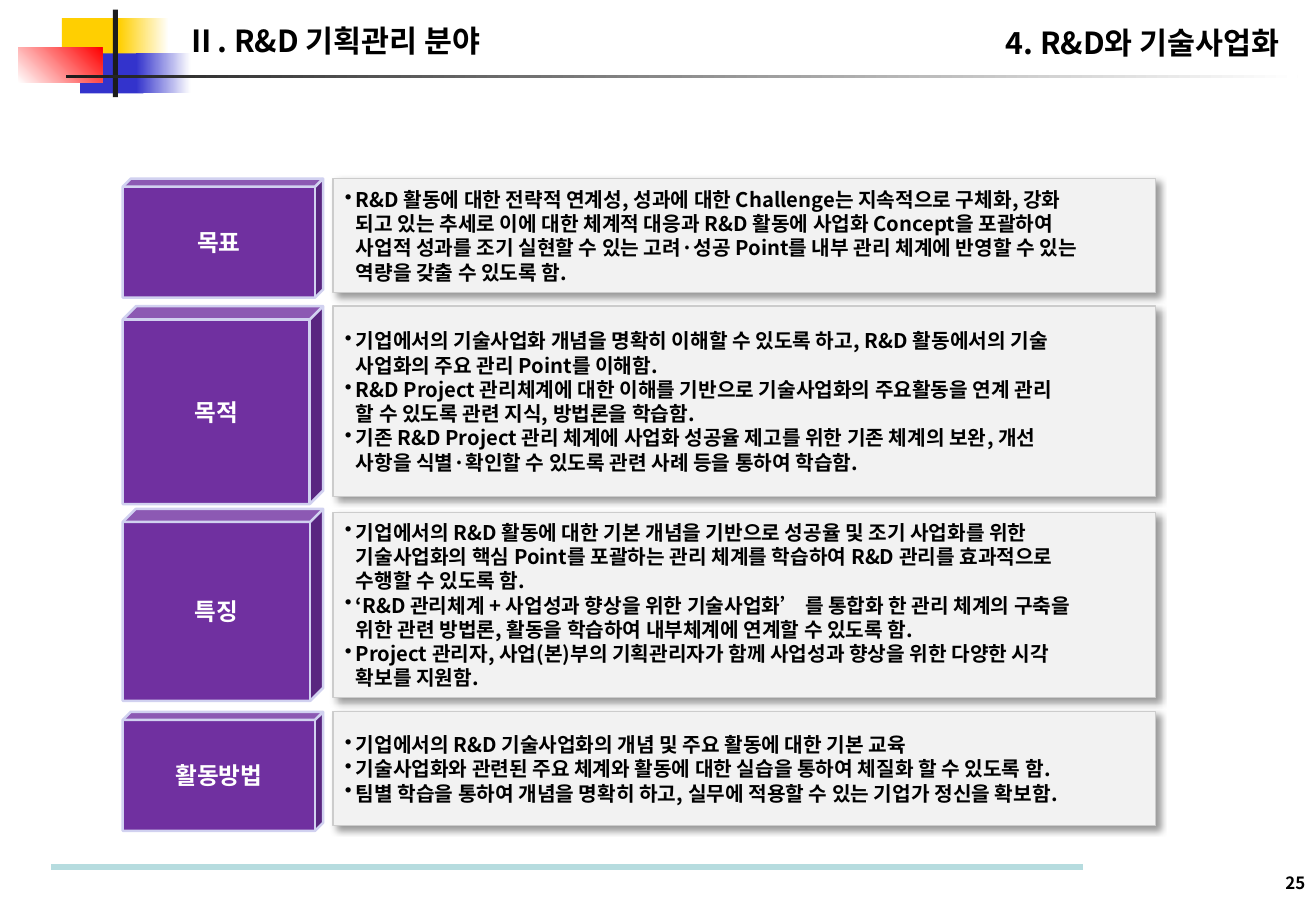
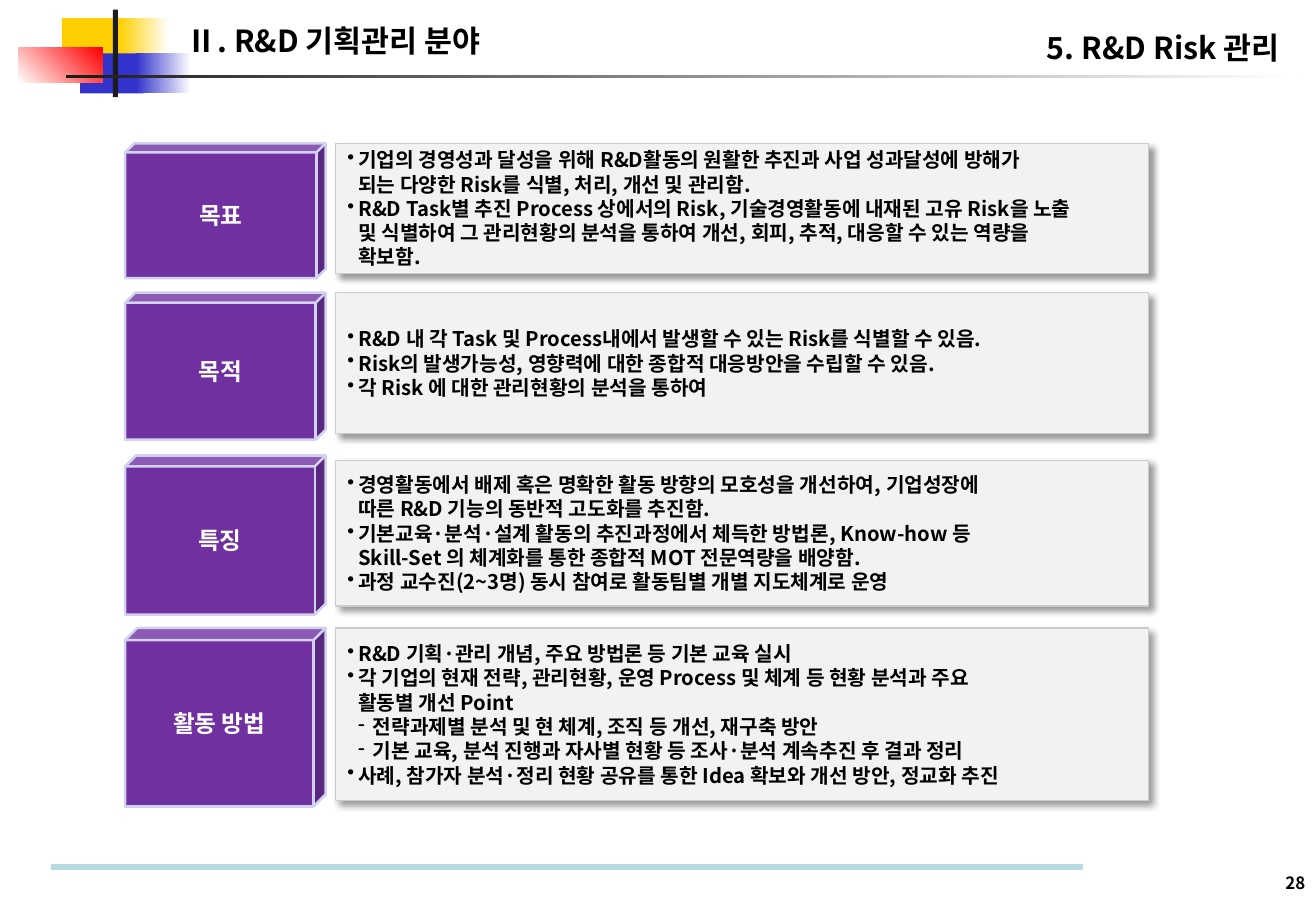
from copy import deepcopy

from lxml.etree import SubElement
from pptx import Presentation
from pptx.dml.color import RGBColor
from pptx.enum.shapes import MSO_CONNECTOR, MSO_SHAPE
from pptx.enum.text import MSO_ANCHOR, MSO_AUTO_SIZE, PP_ALIGN
from pptx.oxml.ns import qn
from pptx.util import Inches, Pt

COLOURS = {
    "black": "000000", "white": "FFFFFF", "ink": "1C1C1C", "yellow": "FFCF01",
    "blue": "3333CC", "red": "FF0000", "footer": "B6DCDF", "cube": "7030A0",
    "cube_edge": "D1D1F0", "panel": "F2F2F2", "panel_edge": "CCCCCC",
}
FONT = "Noto Sans CJK KR"
SECTION = "Ⅱ. R&D 기획관리 분야"
PANEL_OFFSET = 1.73
BLOCKS = [
    ((0.51, 0.15, 0.54, 0.33), ("yellow",), 0),
    ((0.98, 0.15, 0.41, 0.33), ("yellow", "white"), 0),
    ((0.66, 0.44, 0.52, 0.33), ("blue",), 0),
    ((1.12, 0.44, 0.45, 0.33), ("blue", "white"), 0),
    ((0.15, 0.39, 0.69, 0.29), ("white", "red"), 45),
    ((0.93, 0.08, 0.04, 0.72), ("ink",), 0),
    ((0.54, 0.62, 10.14, 0.02), ("ink", "white"), 0),
]
PAGES = [
    {
        "title": "4. R&D와 기술사업화", "title_at": (7.95, 0.15, 2.68, 0.4),
        "number": "25", "left": 1.01, "panel_width": 6.77,
        "rows": [
            ("목표", (1.47, 0.98), (1.47, 0.94), [
                "R&D 활동에 대한 전략적 연계성, 성과에 대한 Challenge는 지속적으로 구체화, 강화\n"
                "되고 있는 추세로 이에 대한 체계적 대응과 R&D 활동에 사업화 Concept을 포괄하여\n"
                "사업적 성과를 조기 실현할 수 있는 고려·성공 Point를 내부 관리 체계에 반영할 수 있는\n"
                "역량을 갖출 수 있도록 함.",
            ]),
            ("목적", (2.52, 1.63), (2.52, 1.57), [
                "기업에서의 기술사업화 개념을 명확히 이해할 수 있도록 하고, R&D 활동에서의 기술\n"
                "사업화의 주요 관리 Point를 이해함.",
                "R&D Project 관리체계에 대한 이해를 기반으로 기술사업화의 주요활동을 연계 관리\n"
                "할 수 있도록 관련 지식, 방법론을 학습함.",
                "기존 R&D Project 관리 체계에 사업화 성공율 제고를 위한 기존 체계의 보완, 개선\n"
                "사항을 식별·확인할 수 있도록 관련 사례 등을 통하여 학습함.",
            ]),
            ("특징", (4.19, 1.58), (4.22, 1.52), [
                "기업에서의 R&D 활동에 대한 기본 개념을 기반으로 성공율 및 조기 사업화를 위한\n"
                "기술사업화의 핵심 Point를 포괄하는 관리 체계를 학습하여 R&D 관리를 효과적으로\n"
                "수행할 수 있도록 함.",
                "‘R&D 관리체계 + 사업성과 향상을 위한 기술사업화’ 를 통합화 한 관리 체계의 구축을\n"
                "위한 관련 방법론, 활동을 학습하여 내부체계에 연계할 수 있도록 함.",
                "Project 관리자, 사업(본)부의 기획관리자가 함께 사업성과 향상을 위한 다양한 시각\n"
                "확보를 지원함.",
            ]),
            ("활동방법", (5.86, 0.98), (5.86, 0.94), [
                "기업에서의 R&D 기술사업화의 개념 및 주요 활동에 대한 기본 교육",
                "기술사업화와 관련된 주요 체계와 활동에 대한 실습을 통하여 체질화 할 수 있도록 함.",
                "팀별 학습을 통하여 개념을 명확히 하고, 실무에 적용할 수 있는 기업가 정신을 확보함.",
            ]),
        ],
    },
    {
        "title": "5. R&D Risk 관리", "title_at": (8.38, 0.19, 2.25, 0.4),
        "number": "28", "left": 1.03, "panel_width": 6.69,
        "rows": [
            ("목표", (1.18, 1.11), (1.18, 1.07), [
                "기업의 경영성과 달성을 위해 R&D활동의 원활한 추진과 사업 성과달성에 방해가\n"
                "되는 다양한 Risk를 식별, 처리, 개선 및 관리함.",
                "R&D Task별 추진 Process 상에서의 Risk, 기술경영활동에 내재된 고유 Risk을 노출\n"
                "및 식별하여 그 관리현황의 분석을 통하여 개선, 회피, 추적, 대응할 수 있는 역량을\n"
                "확보함.",
            ]),
            ("목적", (2.41, 1.21), (2.41, 1.16), [
                "R&D 내 각 Task 및 Process내에서 발생할 수 있는 Risk를 식별할 수 있음.",
                "Risk의 발생가능성, 영향력에 대한 종합적 대응방안을 수립할 수 있음.",
                "각 Risk 에 대한 관리현황의 분석을 통하여",
            ]),
            ("특징", (3.75, 1.31), (3.79, 1.2), [
                "경영활동에서 배제 혹은 명확한 활동 방향의 모호성을 개선하여, 기업성장에\n"
                "따른 R&D 기능의 동반적 고도화를 추진함.",
                "기본교육·분석·설계 활동의 추진과정에서 체득한 방법론, Know-how 등\n"
                "Skill-Set 의 체계화를 통한 종합적 MOT 전문역량을 배양함.",
                "과정 교수진(2~3명) 동시 참여로 활동팀별 개별 지도체계로 운영",
            ]),
            ("활동 방법", (5.17, 1.47), (5.17, 1.42), [
                "R&D 기획·관리 개념, 주요 방법론 등 기본 교육 실시",
                "각 기업의 현재 전략, 관리현황, 운영 Process 및 체계 등 현황 분석과 주요\n"
                "활동별 개선 Point",
                "- 전략과제별 분석 및 현 체계, 조직 등 개선, 재구축 방안",
                "- 기본 교육, 분석 진행과 자사별 현황 등 조사·분석 계속추진 후 결과 정리",
                "사례, 참가자 분석·정리 현황 공유를 통한 Idea 확보와 개선 방안, 정교화 추진",
            ]),
        ],
    },
]


def colour(name):
    """Return the named colour."""
    return RGBColor.from_string(COLOURS[name])


class Sheet:
    """Hold the deck style and the current page."""

    def __init__(self):
        """Start an empty deck."""
        self.deck = Presentation()
        self.deck.slide_width, self.deck.slide_height = Inches(10.83), Inches(7.5)
        self.layout = self.deck.slide_layouts[5]
        self.page = None

    def start(self):
        """Add a title-only page."""
        self.page = self.deck.slides.add_slide(self.layout)

    def shape(self, preset, at, fills, angle=0, edge=None, weight=0):
        """Add a preset shape with a solid or two-colour fill."""
        shape = self.page.shapes.add_shape(preset, *map(Inches, at))
        shape.shadow.inherit = False
        if len(fills) == 1:
            shape.fill.solid()
            shape.fill.fore_color.rgb = colour(fills[0])
        else:
            shape.fill.gradient()
            shape.fill.gradient_angle = angle
            for stop, name in zip(shape.fill.gradient_stops, fills):
                stop.color.rgb = colour(name)
        if edge:
            shape.line.color.rgb = colour(edge)
            shape.line.width = Pt(weight)
        else:
            shape.line.fill.background()
        return shape

    def brand_layout(self):
        """Put the corner blocks and footer line on the layout."""
        parts = [self.shape(MSO_SHAPE.RECTANGLE, *block) for block in BLOCKS]
        footer = self.page.shapes.add_connector(
            MSO_CONNECTOR.STRAIGHT, *map(Inches, (0.42, 7.14, 8.91, 7.14)))
        footer.line.color.rgb = colour("footer")
        footer.line.width = Pt(3.5)
        SubElement(footer._element.spPr, qn("a:effectLst"))
        for position, part in enumerate(parts + [footer], start=2):
            self.layout.shapes._spTree.insert(position, part._element)

    def fill_text(self, para, text, size, name="black", align=PP_ALIGN.LEFT):
        """Fill a paragraph with styled text."""
        para.text = text
        para.alignment = align
        style = {"size": Pt(size), "bold": True, "name": FONT}
        for span in para.runs:
            for key, value in style.items():
                setattr(span.font, key, value)
            span.font.color.rgb = colour(name)
            SubElement(span._r.rPr, qn("a:ea"), typeface=FONT)
        for line_break in para._p.findall(qn("a:br")):
            line_break.append(deepcopy(para.runs[0]._r.rPr))

    def frame(self, shape, wrap=True):
        """Return the shape's text frame, centred vertically."""
        style = {"word_wrap": wrap, "auto_size": MSO_AUTO_SIZE.NONE,
                 "vertical_anchor": MSO_ANCHOR.MIDDLE}
        for key, value in style.items():
            setattr(shape.text_frame, key, value)
        return shape.text_frame

    def title(self, text, at):
        """Place and fill the title placeholder."""
        box = self.page.shapes.title
        for key, value in zip(("left", "top", "width", "height"), at):
            setattr(box, key, Inches(value))
        self.fill_text(self.frame(box, False).paragraphs[0], text, 18, align=PP_ALIGN.RIGHT)

    def label(self, text, at, size, align=PP_ALIGN.LEFT):
        """Add a one-line text box."""
        box = self.page.shapes.add_textbox(*map(Inches, at))
        self.fill_text(self.frame(box, False).paragraphs[0], text, size, align=align)

    def cube(self, text, at):
        """Add a heading cube."""
        cube = self.shape(MSO_SHAPE.CUBE, at, ("cube",), edge="cube_edge", weight=1.5)
        cube.adjustments[0] = 0.068
        self.fill_text(self.frame(cube).paragraphs[0], text, 14, "white", PP_ALIGN.CENTER)

    def panel(self, items, at):
        """Add a shadowed panel of bulleted items."""
        panel = self.shape(MSO_SHAPE.RECTANGLE, at, ("panel",),
                           edge="panel_edge", weight=0.75)
        effects = panel._element.spPr.find(qn("a:effectLst"))
        shadow = SubElement(effects, qn("a:outerShdw"), blurRad=str(Pt(4)),
                            dist=str(Pt(3)), dir="2700000", algn="tl", rotWithShape="0")
        tint = SubElement(shadow, qn("a:srgbClr"), val=COLOURS["black"])
        SubElement(tint, qn("a:alpha"), val="40000")
        frame = self.frame(panel)
        for index, item in enumerate(items):
            para = frame.add_paragraph() if index else frame.paragraphs[0]
            self.bullet(para, item)

    def bullet(self, para, item):
        """Set one item with its hanging bullet."""
        dashed = item.startswith("- ")
        mark, margin, hang = ("-", 0.21, 0.12) if dashed else ("•", 0.09, 0.09)
        self.fill_text(para, item.removeprefix("- "), 12)
        para.line_spacing = Pt(14.4)
        properties = para._p.get_or_add_pPr()
        properties.set("marL", str(Inches(margin)))
        properties.set("indent", str(-Inches(hang)))
        SubElement(properties, qn("a:buChar"), char=mark)


def main():
    """Build and save the deck."""
    sheet = Sheet()
    for index, content in enumerate(PAGES):
        sheet.start()
        if index == 0:
            sheet.brand_layout()
        sheet.title(content["title"], content["title_at"])
        sheet.label(content["number"], (10.45, 7.13, 0.39, 0.27), 10, PP_ALIGN.RIGHT)
        left, width = content["left"], content["panel_width"]
        for heading, (cube_top, cube_height), (top, height), items in content["rows"]:
            sheet.cube(heading, (left, cube_top, 1.65, cube_height))
            sheet.panel(items, (left + PANEL_OFFSET, top, width, height))
        sheet.label(SECTION, (1.44, 0.13, 2.87, 0.4), 18)
    sheet.deck.save("out.pptx")


if __name__ == "__main__":
    main()
